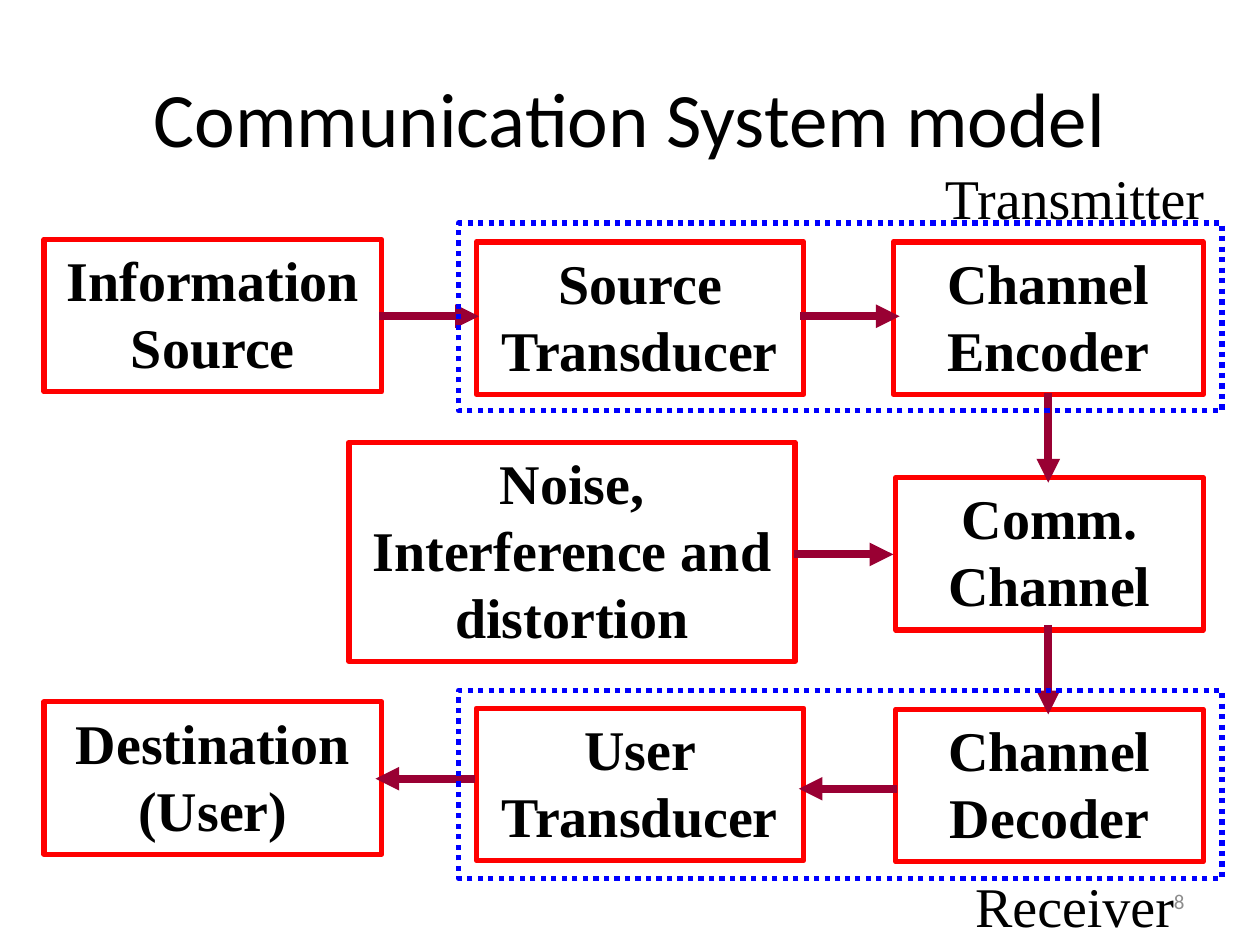
from typing import NamedTuple

from lxml.etree import SubElement
from pptx import Presentation
from pptx.dml.color import RGBColor
from pptx.enum.dml import MSO_LINE_DASH_STYLE as Dash
from pptx.enum.shapes import MSO_CONNECTOR, MSO_SHAPE
from pptx.enum.text import MSO_ANCHOR as Anchor, PP_ALIGN as Align
from pptx.oxml.ns import qn
from pptx.util import Inches, Pt

BLACK, RED, BLUE, MAROON, GRAY = "000000", "FF0000", "0000FF", "990033", "8C8C8C"
SERIF, SANS = "Times New Roman", "Calibri"


class Box(NamedTuple):
    text: str
    x: float
    y: float
    w: float
    h: float = 1.21


class Arrow(NamedTuple):
    x1: float
    y1: float
    x2: float
    y2: float


class Frame(NamedTuple):
    label: str
    y: float
    label_y: float


BOXES = [
    Box("Information Source", 0.35, 1.9, 2.68),
    Box("Source Transducer", 3.78, 1.92, 2.6),
    Box("Channel Encoder", 7.09, 1.92, 2.46),
    Box("Noise, Interference and distortion", 2.77, 3.51, 3.54, 1.74),
    Box("Comm. Channel", 7.11, 3.79, 2.44),
    Box("Destination (User)", 0.35, 5.57, 2.68),
    Box("User Transducer", 3.78, 5.62, 2.6),
    Box("Channel Decoder", 7.11, 5.63, 2.44),
]
# Each arrow points to its second end
ARROWS = [
    Arrow(3.01, 2.51, 3.8, 2.51),
    Arrow(6.35, 2.51, 7.14, 2.51),
    Arrow(6.3, 4.4, 7.09, 4.4),
    Arrow(8.32, 3.12, 8.32, 3.83),
    Arrow(8.32, 4.96, 8.32, 5.67),
    Arrow(7.12, 6.26, 6.34, 6.26),
    Arrow(3.77, 6.18, 2.98, 6.18),
]
FRAMES = [Frame("Transmitter", 1.77, 1.25), Frame("Receiver", 5.48, 6.87)]


def rgb(color: str) -> RGBColor:
    return RGBColor.from_string(color)


def write(sp, text: str, *, size: float = 32, font: str = SERIF, color: str = BLACK,
          bold: bool = False, align=Align.CENTER, anchor=Anchor.TOP, spacing=None) -> None:
    tf = sp.text_frame
    tf.word_wrap = True
    tf.vertical_anchor = anchor
    p = tf.paragraphs[0]
    p.alignment = align
    p.line_spacing = spacing
    r = p.add_run()
    r.text = text
    r.font.size, r.font.name, r.font.bold = Pt(size), font, bold
    r.font.color.rgb = rgb(color)


def add_rect(slide, x: float, y: float, w: float, h: float, color: str, dash=None):
    sp = slide.shapes.add_shape(MSO_SHAPE.RECTANGLE, Inches(x), Inches(y), Inches(w), Inches(h))
    sp.shadow.inherit = False
    sp.fill.background()
    sp.line.color.rgb = rgb(color)
    sp.line.width = Pt(3)
    if dash is not None:
        sp.line.dash_style = dash
    return sp


def add_label(slide, text: str, x: float, y: float, w: float, h: float, **style) -> None:
    sp = slide.shapes.add_textbox(Inches(x), Inches(y), Inches(w), Inches(h))
    write(sp, text, **style)


def add_arrow(slide, arrow: Arrow) -> None:
    line = slide.shapes.add_connector(MSO_CONNECTOR.STRAIGHT, *map(Inches, arrow))
    line.line.color.rgb = rgb(MAROON)
    line.line.width = Pt(4.5)
    SubElement(line.line._get_or_add_ln(), qn("a:tailEnd"), type="triangle")
    SubElement(line._element.spPr, qn("a:effectLst"))


def main() -> None:
    prs = Presentation()
    prs.slide_width, prs.slide_height = Inches(10), Inches(7.5)
    slide = prs.slides.add_slide(prs.slide_layouts[5])
    line_pitch = Pt(38.4)

    # Title
    title = slide.shapes.title
    title.left, title.top, title.width, title.height = map(Inches, (0.5, 0.3, 9, 1.25))
    write(title, "Communication System model", size=44, font=SANS, anchor=Anchor.MIDDLE)

    # Blocks of the system and the signal flow between them
    for box in BOXES:
        sp = add_rect(slide, box.x, box.y, box.w, box.h, RED)
        write(sp, box.text, bold=True, spacing=line_pitch)
    for arrow in ARROWS:
        add_arrow(slide, arrow)

    # Dotted frames with their labels
    for frame in FRAMES:
        add_rect(slide, 3.64, frame.y, 6.06, 1.49, BLUE, Dash.ROUND_DOT)
        add_label(slide, frame.label, 7.23, frame.label_y, 2.6, 0.63, spacing=line_pitch)

    # Slide number
    add_label(slide, "8", 7.17, 6.95, 2.33, 0.4, size=12, font=SANS, color=GRAY,
              align=Align.RIGHT, anchor=Anchor.MIDDLE)

    prs.save("out.pptx")


if __name__ == "__main__":
    main()
